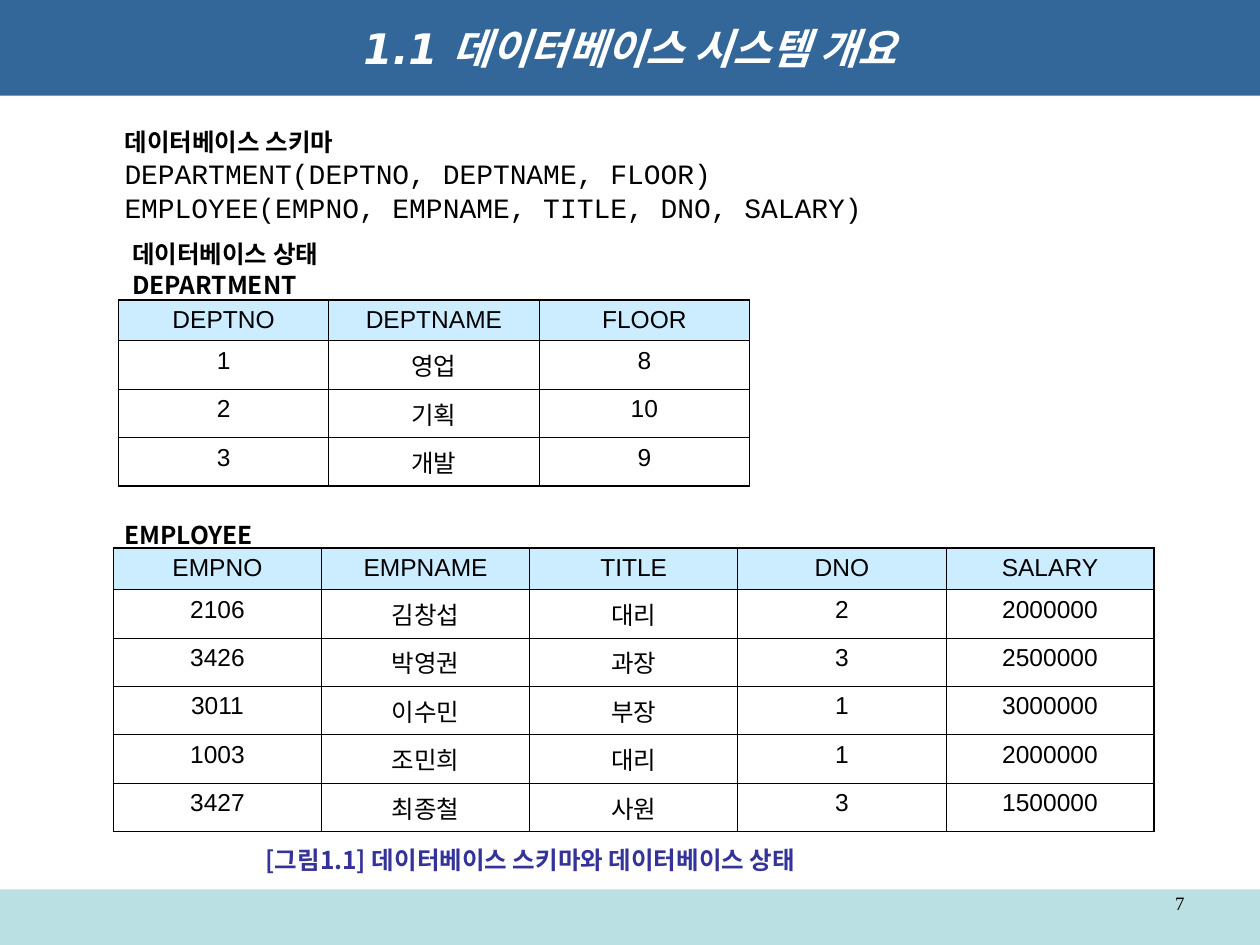
from dataclasses import dataclass

from lxml import etree
from pptx import Presentation
from pptx import util as u
from pptx.dml.color import RGBColor
from pptx.enum import shapes, text
from pptx.oxml.ns import qn

# The slide is a grid of 100 columns by 75 rows, a tenth of an inch each
COLS, ROWS = 100, 75
UNIT = 0.1
COLORS = {"blue": "336699", "teal": "BBE0E3", "head": "CCECFF",
          "white": "FFFFFF", "black": "000000", "navy": "333399"}
KOREAN = "Noto Sans CJK KR"
THIN, THICK = 0.45, 1.08
ALIGN = text.PP_ALIGN


@dataclass
class Box:
    col: float
    row: float
    wide: float
    high: float

    def emu(self) -> tuple:
        return tuple(size(n) for n in (self.col, self.row, self.wide, self.high))


@dataclass
class Line:
    words: str
    font: str = KOREAN
    points: float = 14
    color: str = "black"
    bold: bool = True
    italic: bool = False
    align: ALIGN = ALIGN.JUSTIFY
    space: float = 1.0
    before: float = 0


@dataclass
class Note:
    box: Box
    lines: list
    grow: bool = True


@dataclass
class Grid:
    box: Box
    head_high: float
    rows: list


def size(units: float) -> int:
    return u.Inches(units * UNIT)


def rgb(name: str) -> RGBColor:
    return RGBColor.from_string(COLORS[name])


def write(para, line: Line) -> None:
    para.text = line.words
    para.alignment = line.align
    if line.space != 1:
        para.line_spacing = line.space
    if line.before:
        para.space_before = u.Pt(line.before)
    for run in para.runs:
        font = run.font
        font.name, font.size = line.font, u.Pt(line.points)
        font.bold, font.italic = line.bold, line.italic
        font.color.rgb = rgb(line.color)
        east = etree.SubElement(run._r.get_or_add_rPr(), qn("a:ea"))
        east.set("typeface", KOREAN)


def add_band(slide, box: Box, color: str):
    band = slide.shapes.add_shape(shapes.MSO_SHAPE.RECTANGLE, *box.emu())
    band.shadow.inherit = False
    band.fill.solid()
    band.fill.fore_color.rgb = rgb(color)
    band.line.fill.background()
    return band


def add_note(slide, note: Note) -> None:
    frame = slide.shapes.add_textbox(*note.box.emu()).text_frame
    frame.word_wrap = True
    if note.grow:
        frame.auto_size = text.MSO_AUTO_SIZE.SHAPE_TO_FIT_TEXT
    for i, line in enumerate(note.lines):
        write(frame.add_paragraph() if i else frame.paragraphs[0], line)


def add_edges(cell, widths: dict) -> None:
    props = cell._tc.get_or_add_tcPr()
    for i, (side, points) in enumerate(widths.items()):
        edge = etree.Element(qn(f"a:ln{side}"), w=str(u.Pt(points)))
        fill = etree.SubElement(edge, qn("a:solidFill"))
        etree.SubElement(fill, qn("a:srgbClr"), val=COLORS["black"])
        props.insert(i, edge)


def add_grid(slide, grid: Grid) -> None:
    count, width = len(grid.rows), len(grid.rows[0])
    table = slide.shapes.add_table(count, width, *grid.box.emu()).table
    table.first_row = table.horz_banding = False
    for col in table.columns:
        col.width = size(grid.box.wide / width)
    body = (grid.box.high - grid.head_high) / (count - 1)
    for r, values in enumerate(grid.rows):
        table.rows[r].height = size(body if r else grid.head_high)
        for c, value in enumerate(values):
            cell = table.cell(r, c)
            if r:
                cell.fill.background()
            else:
                cell.fill.solid()
                cell.fill.fore_color.rgb = rgb("head")
            write(cell.text_frame.paragraphs[0],
                  Line(value, "Arial", bold=False, align=ALIGN.CENTER))
            # Outer edges are thick, inner ones thin
            outer = {"L": c == 0, "R": c == width - 1,
                     "T": r == 0, "B": r == count - 1}
            add_edges(cell, {s: THICK if o else THIN for s, o in outer.items()})


TITLE = Line("1.1 데이터베이스 시스템 개요", "DejaVu Sans", 24, "white",
             italic=True, align=ALIGN.CENTER)

GRIDS = [
    Grid(Box(9.4, 23.8, 50.1, 14.7), 3.25, [
        ("DEPTNO", "DEPTNAME", "FLOOR"),
        ("1", "영업", "8"),
        ("2", "기획", "10"),
        ("3", "개발", "9"),
    ]),
    Grid(Box(9, 43.5, 82.6, 22.5), 3.3, [
        ("EMPNO", "EMPNAME", "TITLE", "DNO", "SALARY"),
        ("2106", "김창섭", "대리", "2", "2000000"),
        ("3426", "박영권", "과장", "3", "2500000"),
        ("3011", "이수민", "부장", "1", "3000000"),
        ("1003", "조민희", "대리", "1", "2000000"),
        ("3427", "최종철", "사원", "3", "1500000"),
    ]),
]

NOTES = [
    # Page number
    Note(Box(71.7, 70.6, 23.3, 2.9),
         [Line("7", "Times New Roman", 10.8, bold=False,
               align=ALIGN.RIGHT, space=0.8)], grow=False),
    # Schema
    Note(Box(8.9, 8.9, 67.7, 9.4), [
        Line("데이터베이스 스키마", space=1.3),
        Line("DEPARTMENT(DEPTNO, DEPTNAME, FLOOR)", "Courier New", 16, bold=False),
        Line("EMPLOYEE(EMPNO, EMPNAME, TITLE, DNO, SALARY)", "Courier New", 16,
             bold=False),
    ]),
    # Table names and caption
    Note(Box(9.5, 18.5, 67.7, 5.8),
         [Line("데이터베이스 상태"), Line("DEPARTMENT", before=0.9)]),
    Note(Box(8.9, 40.8, 67.7, 3.4), [Line("EMPLOYEE")]),
    Note(Box(20.1, 66.6, 67.7, 3.4),
         [Line("[그림1.1] 데이터베이스 스키마와 데이터베이스 상태", color="navy")]),
]


def main() -> None:
    deck = Presentation()
    deck.slide_width, deck.slide_height = size(COLS), size(ROWS)
    slide = deck.slides.add_slide(deck.slide_layouts[6])

    # Footer and title bands
    add_band(slide, Box(0, 70.6, COLS, ROWS - 70.6), "teal")
    frame = add_band(slide, Box(0, 0, COLS, 7.6), "blue").text_frame
    frame.vertical_anchor = text.MSO_ANCHOR.MIDDLE
    write(frame.paragraphs[0], TITLE)

    for grid in GRIDS:
        add_grid(slide, grid)
    for note in NOTES:
        add_note(slide, note)
    deck.save("out.pptx")


if __name__ == "__main__":
    main()
